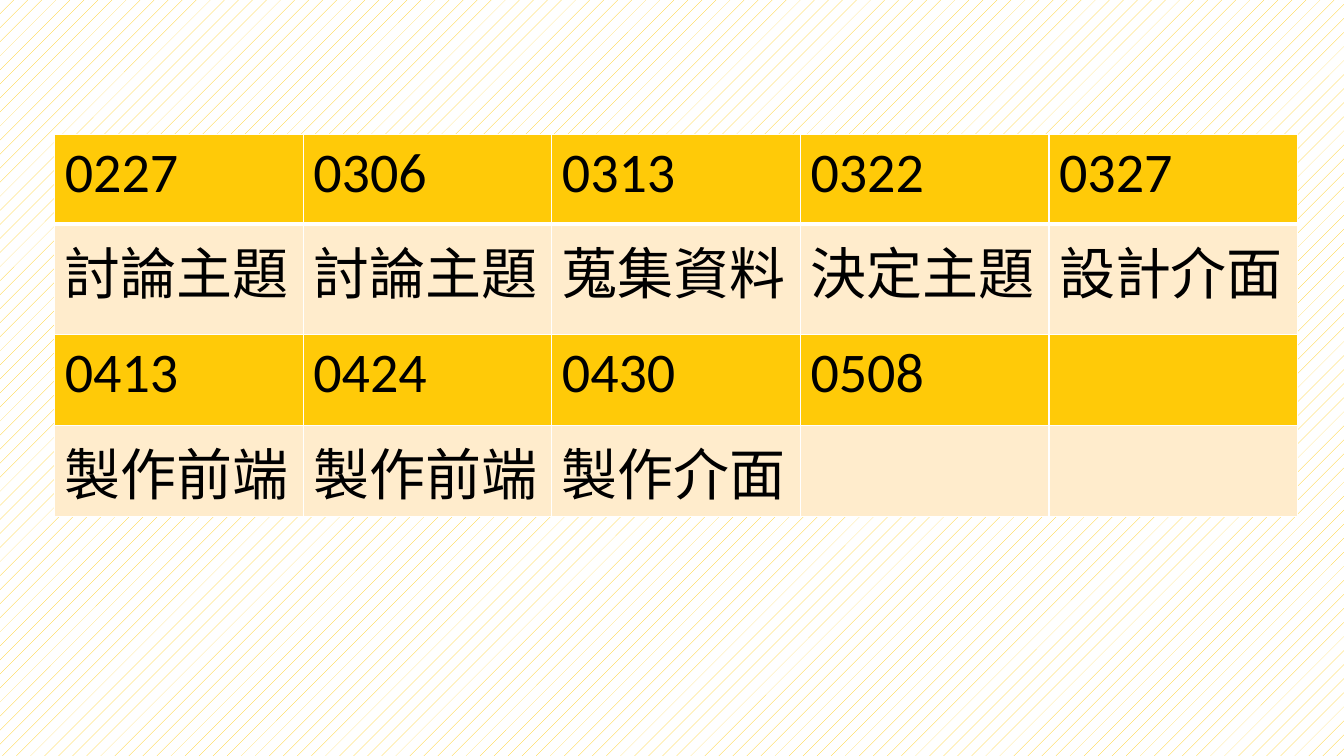
from dataclasses import dataclass

from lxml import etree
from pptx import Presentation
from pptx.dml.color import RGBColor
from pptx.enum.dml import MSO_PATTERN
from pptx.oxml.ns import qn
from pptx.util import Cm, Pt

DOTTED = MSO_PATTERN.PERCENT_5
BLANK_LAYOUT = 6


@dataclass(frozen=True)
class Theme:
    """Colours, font and sizes of the slide."""
    gold: str = "FFCA08"
    cream: str = "FFECCC"
    white: str = "FFFFFF"
    black: str = "000000"
    font: str = "Calibri"
    text_size: int = 40
    thin_border: int = 1
    thick_border: int = 3


THEME = Theme()
SCHEDULE = [
    ["0227", "0306", "0313", "0322", "0327"],
    ["討論主題", "討論主題", "蒐集資料", "決定主題", "設計介面"],
    ["0413", "0424", "0430", "0508", ""],
    ["製作前端", "製作前端", "製作介面", "", ""],
]
ROW_HEIGHTS = [Cm(2.26), Cm(2.77), Cm(2.31), Cm(2.26)]


def colour(value):
    """Turn a hexadecimal value into a colour."""
    return RGBColor.from_string(value)


def paint_background(slide):
    """Fill the slide background with the dotted pattern."""
    fill = slide.background.fill
    fill.patterned()
    fill.pattern = DOTTED
    fill.fore_color.rgb = colour(THEME.gold)
    fill.back_color.rgb = colour(THEME.white)


def set_borders(cell, top, bottom):
    """Draw white cell borders with the given top and bottom widths."""
    properties = cell._tc.get_or_add_tcPr()
    sides = {"lnL": THEME.thin_border, "lnR": THEME.thin_border, "lnT": top, "lnB": bottom}
    for position, (side, width) in enumerate(sides.items()):
        line = etree.Element(qn(f"a:{side}"), w=str(Pt(width)))
        solid = etree.SubElement(line, qn("a:solidFill"))
        etree.SubElement(solid, qn("a:srgbClr"), val=THEME.white)
        properties.insert(position, line)


def format_cell(cell, text, fill_colour):
    """Write and style one schedule cell."""
    cell.fill.solid()
    cell.fill.fore_color.rgb = colour(fill_colour)
    paragraph = cell.text_frame.paragraphs[0]
    paragraph.text = text
    paragraph.font.size = Pt(THEME.text_size)
    for run in paragraph.runs:
        run.font.name = THEME.font
        run.font.size = Pt(THEME.text_size)
        run.font.bold = False
        run.font.color.rgb = colour(THEME.black)


def add_schedule(slide, left, top, width):
    """Place the schedule, with date rows above task rows."""
    column_count = len(SCHEDULE[0])
    frame = slide.shapes.add_table(
        len(SCHEDULE), column_count, left, top, width, sum(ROW_HEIGHTS))
    table = frame.table
    for column in table.columns:
        column.width = width // column_count
    for row_index, texts in enumerate(SCHEDULE):
        table.rows[row_index].height = ROW_HEIGHTS[row_index]
        fill_colour = THEME.cream if row_index % 2 else THEME.gold
        top_border = THEME.thick_border if row_index == 1 else THEME.thin_border
        bottom_border = THEME.thick_border if row_index == 0 else THEME.thin_border
        for column_index, text in enumerate(texts):
            cell = table.cell(row_index, column_index)
            format_cell(cell, text, fill_colour)
            set_borders(cell, top_border, bottom_border)


def build():
    """Build and save the schedule slide."""
    presentation = Presentation()
    presentation.slide_width = Cm(33.87)
    presentation.slide_height = Cm(19.05)
    slide = presentation.slides.add_slide(presentation.slide_layouts[BLANK_LAYOUT])
    paint_background(slide)
    add_schedule(slide, Cm(1.38), Cm(3.39), Cm(31.32))
    presentation.save("out.pptx")


build()
